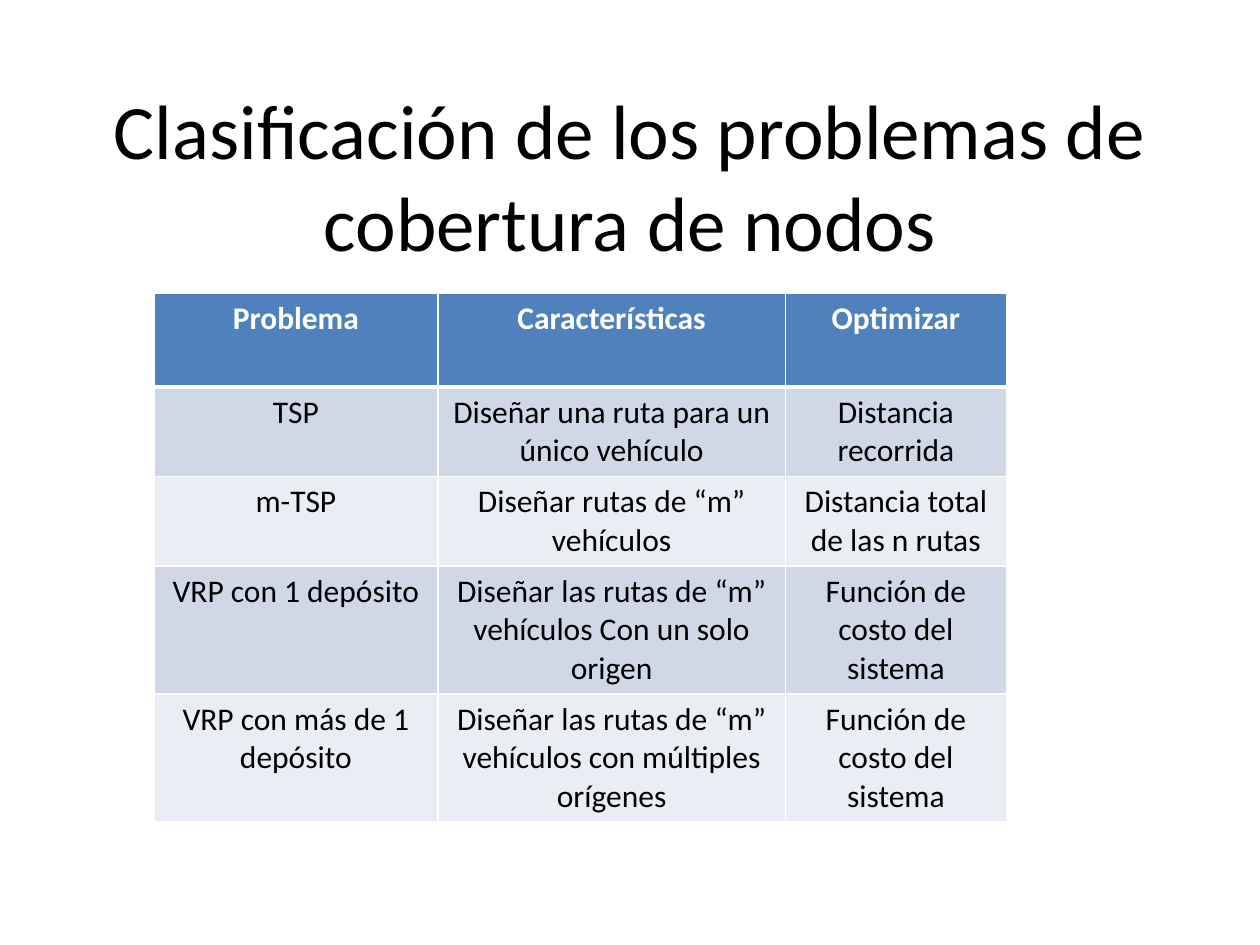
from lxml import etree
from pptx import Presentation
from pptx.dml.color import RGBColor
from pptx.enum.text import MSO_ANCHOR, PP_ALIGN
from pptx.oxml.ns import qn
from pptx.util import Cm, Pt

CENTER = PP_ALIGN.CENTER
MIDDLE = MSO_ANCHOR.MIDDLE
TITLE_ONLY = 5

BLACK = RGBColor(0x00, 0x00, 0x00)
WHITE = RGBColor(0xFF, 0xFF, 0xFF)
HEADER_BLUE = RGBColor(0x4F, 0x81, 0xBD)
BANDS = (RGBColor(0xD0, 0xD8, 0xE8), RGBColor(0xE9, 0xED, 0xF4))

TITLE = "Clasificación de los problemas de cobertura de nodos"
ROWS = [
    ("Problema", "Características", "Optimizar"),
    ("TSP", "Diseñar una ruta para un único vehículo", "Distancia recorrida"),
    ("m-TSP", "Diseñar rutas de “m” vehículos", "Distancia total de las n rutas"),
    ("VRP con 1 depósito", "Diseñar las rutas de “m” vehículos Con un solo origen",
     "Función de costo del sistema"),
    ("VRP con más de 1 depósito", "Diseñar las rutas de “m” vehículos con múltiples orígenes",
     "Función de costo del sistema"),
]
COLUMN_WIDTHS = (5.73, 7, 4.46)
ROW_HEIGHTS = (1.88, 1.8, 1.8, 2.57, 2.57)


def set_text(tf, text, size=18, color=BLACK, bold=False, align=CENTER):
    p = tf.paragraphs[0]
    p.alignment = align
    r = p.add_run()
    r.text = text
    r.font.name = "Calibri"
    r.font.size = Pt(size)
    r.font.bold = bold
    r.font.color.rgb = color


def set_borders(cell, color, **widths):
    tc_pr = cell._tc.get_or_add_tcPr()
    for side, width in widths.items():
        ln = etree.SubElement(tc_pr, qn(f"a:ln{side}"), w=str(Pt(width)))
        fill = etree.SubElement(ln, qn("a:solidFill"))
        etree.SubElement(fill, qn("a:srgbClr"), val=str(color))


def add_title(s, text):
    sp = s.shapes.title
    sp.left, sp.top, sp.width, sp.height = Cm(1.9), Cm(1.52), Cm(21.6), Cm(4)
    sp.text_frame.word_wrap = True
    sp.text_frame.vertical_anchor = MIDDLE
    set_text(sp.text_frame, text, size=44)


def add_problem_table(s, rows):
    frame = s.shapes.add_table(len(rows), len(rows[0]), Cm(3.1), Cm(5.92),
                               Cm(sum(COLUMN_WIDTHS)), Cm(sum(ROW_HEIGHTS)))
    table = frame.table
    for column, width in zip(table.columns, COLUMN_WIDTHS):
        column.width = Cm(width)
    for i, (row, height, texts) in enumerate(zip(table.rows, ROW_HEIGHTS, rows)):
        row.height = Cm(height)
        header = i == 0
        for cell, text in zip(row.cells, texts):
            set_borders(cell, WHITE, L=1, R=1, T=3 if i == 1 else 1, B=3 if header else 1)
            cell.fill.solid()
            cell.fill.fore_color.rgb = HEADER_BLUE if header else BANDS[(i - 1) % 2]
            set_text(cell.text_frame, text, color=WHITE if header else BLACK, bold=header)


def main():
    prs = Presentation()
    prs.slide_width, prs.slide_height = Cm(25.4), Cm(19.05)
    s = prs.slides.add_slide(prs.slide_layouts[TITLE_ONLY])
    add_title(s, TITLE)
    add_problem_table(s, ROWS)
    prs.save("out.pptx")


if __name__ == "__main__":
    main()
